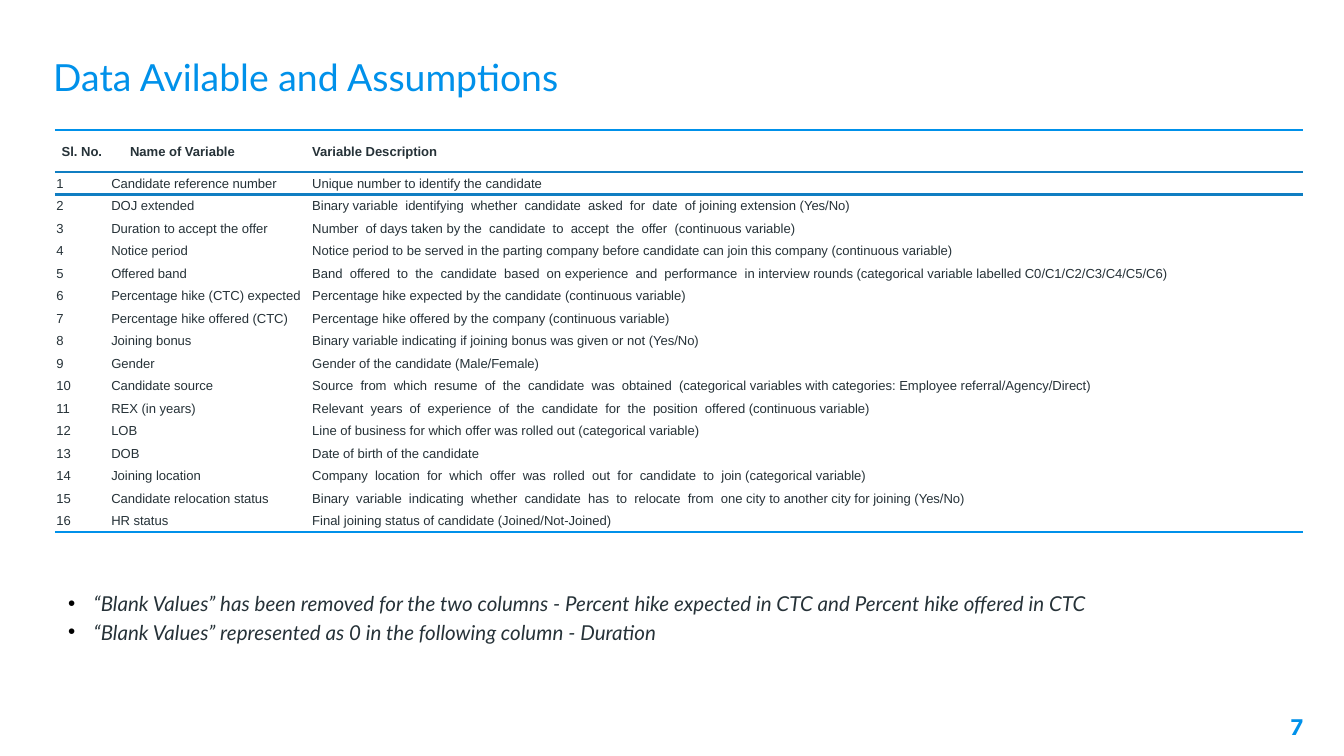
from lxml import etree
from pptx import Presentation, util as u
from pptx.dml.color import RGBColor
from pptx.enum import text
from pptx.oxml import ns

COLORS = {"accent": "0091EA", "rule": "107EC2", "ink": "263238", "bullet": "000000"}
PIXEL = 914400 / 134.4


def px(pixels):
    return u.Emu(round(pixels * PIXEL))


def add_span(para, words, size, font, color, bold=False, italic=False):
    span = para.add_run()
    span.text = words
    span.font.size = u.Pt(size)
    span.font.name = font
    span.font.bold = bold
    span.font.italic = italic
    span.font.color.rgb = RGBColor.from_string(COLORS[color])


deck = Presentation()
deck.slide_width, deck.slide_height = u.Inches(10), u.Inches(5.625)
page = deck.slides.add_slide(deck.slide_layouts[6])

# Title and page number
labels = [
    ("Data Avilable and Assumptions", (40, 41, 1265, 71), 20, "Lato", False,
     text.PP_ALIGN.LEFT, text.MSO_ANCHOR.MIDDLE),
    ("7", (1235, 698, 81, 58), 13, "Karla", True,
     text.PP_ALIGN.RIGHT, text.MSO_ANCHOR.TOP),
]
for words, place, size, font, bold, align, anchor in labels:
    box = page.shapes.add_textbox(*map(px, place))
    frame = box.text_frame
    frame.word_wrap = True
    frame.vertical_anchor = anchor
    frame.margin_left = frame.margin_right = u.Inches(0.1)
    frame.margin_top = frame.margin_bottom = u.Inches(0.1)
    para = frame.paragraphs[0]
    para.alignment = align
    add_span(para, words, size, font, "accent", bold)

# Variable table
header = ("Sl. No.", "Name of Variable", "Variable Description")
variables = [
    ("Candidate reference number", "Unique number to identify the candidate"),
    ("DOJ extended", "Binary variable  identifying  whether  candidate  asked  for  date  "
     "of joining extension (Yes/No)"),
    ("Duration to accept the offer", "Number  of days taken by the  candidate  to  accept  "
     "the  offer  (continuous variable)"),
    ("Notice period", "Notice period to be served in the parting company before candidate "
     "can join this company (continuous variable)"),
    ("Offered band", "Band  offered  to  the  candidate  based  on experience  and  "
     "performance  in interview rounds (categorical variable labelled C0/C1/C2/C3/C4/C5/C6)"),
    ("Percentage hike (CTC) expected",
     "Percentage hike expected by the candidate (continuous variable)"),
    ("Percentage hike offered (CTC)",
     "Percentage hike offered by the company (continuous variable)"),
    ("Joining bonus", "Binary variable indicating if joining bonus was given or not (Yes/No)"),
    ("Gender", "Gender of the candidate (Male/Female)"),
    ("Candidate source", "Source  from  which  resume  of  the  candidate  was  obtained  "
     "(categorical variables with categories: Employee referral/Agency/Direct)"),
    ("REX (in years)", "Relevant  years  of  experience  of  the  candidate  for  the  "
     "position  offered (continuous variable)"),
    ("LOB", "Line of business for which offer was rolled out (categorical variable)"),
    ("DOB", "Date of birth of the candidate"),
    ("Joining location", "Company  location  for  which  offer  was  rolled  out  for  "
     "candidate  to  join (categorical variable)"),
    ("Candidate relocation status", "Binary  variable  indicating  whether  candidate  has  "
     "to  relocate  from  one city to another city for joining (Yes/No)"),
    ("HR status", "Final joining status of candidate (Joined/Not-Joined)"),
]
rows = [header] + [(str(n), *entry) for n, entry in enumerate(variables, 1)]
header_height, body_height = 42, 360
column_widths = (55, 201, 992)

table = page.shapes.add_table(len(rows), 3, px(55), px(130), px(sum(column_widths)),
                              px(header_height + body_height)).table
table.first_row = table.horz_banding = False
for column, width in zip(table.columns, column_widths):
    column.width = px(width)

# Horizontal rules, keyed by the row they sit above
rules = {0: ("accent", 1), 1: ("rule", 1), 2: ("rule", 1.5), len(rows): ("accent", 1)}
header_insets = (0.05, 0.15, 0.01)
for r, row in enumerate(rows):
    table.rows[r].height = px(body_height / len(variables) if r else header_height)
    for c, words in enumerate(row):
        cell = table.cell(r, c)
        cell.vertical_anchor = text.MSO_ANCHOR.MIDDLE
        cell.margin_left = u.Inches(0.01 if r else header_insets[c])
        cell.margin_right = cell.margin_top = u.Inches(0.01)
        cell.margin_bottom = 0
        add_span(cell.text_frame.paragraphs[0], words, 7, "Arial", "ink", bold=r == 0)
        props = cell._tc.get_or_add_tcPr()
        for side, rule in (("L", None), ("R", None), ("T", rules.get(r)), ("B", rules.get(r + 1))):
            line = etree.SubElement(props, ns.qn("a:ln" + side))
            if rule:
                line.set("w", str(u.Pt(rule[1])))
                fill = etree.SubElement(line, ns.qn("a:solidFill"))
                etree.SubElement(fill, ns.qn("a:srgbClr"), val=COLORS[rule[0]])
            else:
                etree.SubElement(line, ns.qn("a:noFill"))
        cell.fill.background()

# Assumptions
assumptions = [
    "“Blank Values” has been removed for the two columns - "
    "Percent hike expected in CTC and Percent hike offered in CTC",
    "“Blank Values” represented as 0 in the following column - Duration",
]
box = page.shapes.add_textbox(px(55), px(581), px(1248), px(69))
frame = box.text_frame
frame.word_wrap = True
for n, words in enumerate(assumptions):
    para = frame.add_paragraph() if n else frame.paragraphs[0]
    para.line_spacing = 1.15
    props = para._p.get_or_add_pPr()
    props.set("marL", str(u.Inches(0.19)))
    props.set("indent", str(-u.Inches(0.19)))
    bullet_color = etree.SubElement(props, ns.qn("a:buClr"))
    etree.SubElement(bullet_color, ns.qn("a:srgbClr"), val=COLORS["bullet"])
    etree.SubElement(props, ns.qn("a:buFont"), typeface="Arial")
    etree.SubElement(props, ns.qn("a:buChar"), char="•")
    add_span(para, words, 11, "Lato", "ink", italic=True)

deck.save("out.pptx")
